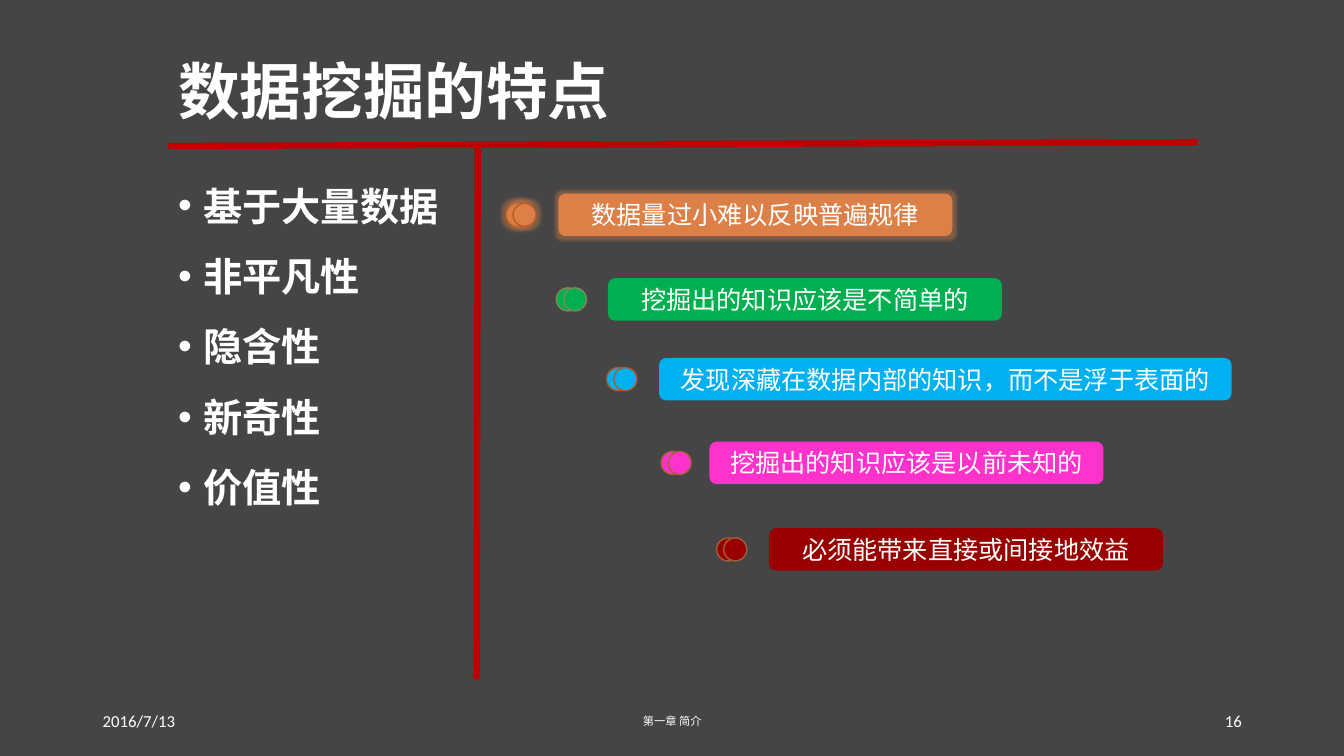
from dataclasses import dataclass

from lxml.etree import SubElement
from pptx import Presentation
from pptx.dml.color import RGBColor
from pptx.enum.shapes import MSO_CONNECTOR, MSO_SHAPE
from pptx.enum.text import MSO_ANCHOR, PP_ALIGN
from pptx.oxml.ns import qn
from pptx.util import Cm, Pt


@dataclass(frozen=True)
class Theme:
    background: str = "454545"
    text: str = "FFFFFF"
    rule: str = "C00000"
    glow: str = "DD8047"
    font: str = "Noto Sans CJK SC"
    footer_font: str = "Calibri"
    title_size: int = 44
    feature_size: int = 28
    label_size: int = 18
    footer_size: int = 12
    chapter_size: int = 8
    rule_width: float = 4.5


@dataclass(frozen=True)
class Label:
    text: str
    left: float
    top: float
    dots_left: float
    fill: str
    outline: str
    width: float = 9.93
    glows: bool = False


@dataclass(frozen=True)
class Footer:
    text: str
    left: float
    width: float
    alignment: PP_ALIGN
    size: int
    font: str


THEME = Theme()
LABEL_HEIGHT, DOT_SIZE, DOT_SHIFT = 1.07, 0.58, 0.18
FEATURES = ["基于大量数据", "非平凡性", "隐含性", "新奇性", "价值性"]
LABELS = [
    Label("数据量过小难以反映普遍规律", 14.07, 4.88, 12.75, "DD8047", "B95B22", glows=True),
    Label("挖掘出的知识应该是不简单的", 15.32, 7.01, 14.02, "00B050", "81875A"),
    Label("发现深藏在数据内部的知识，而不是浮于表面的", 16.61, 9.02, 15.29, "00B0F0", "A35F35", width=14.43),
    Label("挖掘出的知识应该是以前未知的", 17.88, 11.13, 16.66, "FF33CC", "A35F35"),
    Label("必须能带来直接或间接地效益", 19.38, 13.31, 18.06, "990000", "A35F35"),
]
FOOTERS = [
    Footer("2016/7/13", 2.34, 7.62, PP_ALIGN.LEFT, THEME.footer_size, THEME.footer_font),
    Footer("16", 23.93, 7.62, PP_ALIGN.RIGHT, THEME.footer_size, THEME.footer_font),
    Footer("第一章 简介", 11.23, 11.43, PP_ALIGN.CENTER, THEME.chapter_size, THEME.font),
]


def add_run(paragraph, text: str, size: int, bold: bool = False, font: str = THEME.font) -> None:
    run = paragraph.add_run()
    run.text = text
    run.font.size, run.font.bold, run.font.name = Pt(size), bold, font
    run.font.color.rgb = RGBColor.from_string(THEME.text)
    SubElement(run.font._element, qn("a:ea"), typeface=font)


def add_rule(slide, start: tuple[float, float], end: tuple[float, float]) -> None:
    rule = slide.shapes.add_connector(MSO_CONNECTOR.STRAIGHT, *map(Cm, start + end))
    rule.line.color.rgb = RGBColor.from_string(THEME.rule)
    rule.line.width = Pt(THEME.rule_width)
    SubElement(rule._element.spPr, qn("a:effectLst"))


def add_glow(shape) -> None:
    effects = shape._element.spPr.find(qn("a:effectLst"))
    glow = SubElement(effects, qn("a:glow"), rad=str(Pt(5)))
    color = SubElement(glow, qn("a:srgbClr"), val=THEME.glow)
    SubElement(color, qn("a:alpha"), val="40000")


def add_filled(group, kind: MSO_SHAPE, box: tuple[float, ...], label: Label):
    shape = group.shapes.add_shape(kind, *map(Cm, box))
    shape.shadow.inherit = False
    shape.fill.solid()
    shape.fill.fore_color.rgb = RGBColor.from_string(label.fill)
    if label.glows:
        add_glow(shape)
    return shape


def add_label(slide, label: Label) -> None:
    group = slide.shapes.add_group_shape()
    bar = add_filled(group, MSO_SHAPE.ROUNDED_RECTANGLE,
                     (label.left, label.top, label.width, LABEL_HEIGHT), label)
    bar.line.fill.background()
    bar.text_frame.vertical_anchor = MSO_ANCHOR.MIDDLE
    paragraph = bar.text_frame.paragraphs[0]
    paragraph.alignment = PP_ALIGN.CENTER
    add_run(paragraph, label.text, THEME.label_size)
    dot_top = label.top + (LABEL_HEIGHT - DOT_SIZE) / 2
    for shift in (0, DOT_SHIFT):
        dot = add_filled(group, MSO_SHAPE.OVAL,
                         (label.dots_left + shift, dot_top, DOT_SIZE, DOT_SIZE), label)
        dot.line.color.rgb = RGBColor.from_string(label.outline)
        dot.line.width = Pt(1)


def add_features(slide, features: list[str]) -> None:
    box = slide.shapes.add_textbox(Cm(4.24), Cm(4.22), Cm(7.24), Cm(12.88))
    box.text_frame.word_wrap = True
    for index, feature in enumerate(features):
        paragraph = box.text_frame.paragraphs[0] if index == 0 else box.text_frame.add_paragraph()
        paragraph.line_spacing = 1.2
        paragraph.space_before = Pt(10)
        properties = paragraph._p.get_or_add_pPr()
        properties.set("marL", str(Cm(0.64)))
        properties.set("indent", str(-Cm(0.64)))
        SubElement(properties, qn("a:buFont"), typeface="Arial")
        SubElement(properties, qn("a:buChar"), char="•")
        add_run(paragraph, feature, THEME.feature_size, bold=True)


def add_footer(slide, footer: Footer) -> None:
    box = slide.shapes.add_textbox(Cm(footer.left), Cm(17.65), Cm(footer.width), Cm(1.02))
    box.text_frame.word_wrap = True
    box.text_frame.vertical_anchor = MSO_ANCHOR.MIDDLE
    paragraph = box.text_frame.paragraphs[0]
    paragraph.alignment = footer.alignment
    add_run(paragraph, footer.text, footer.size, font=footer.font)


def set_title(slide, text: str) -> None:
    title = slide.shapes.title
    title.left, title.top, title.width, title.height = Cm(4.24), Cm(0.53), Cm(25.93), Cm(3.68)
    title.text_frame.vertical_anchor = MSO_ANCHOR.MIDDLE
    paragraph = title.text_frame.paragraphs[0]
    paragraph.alignment = PP_ALIGN.LEFT
    paragraph.line_spacing = 0.9
    add_run(paragraph, text, THEME.title_size, bold=True)


# Slide and background
presentation = Presentation()
presentation.slide_width, presentation.slide_height = Cm(33.87), Cm(19.05)
slide = presentation.slides.add_slide(presentation.slide_layouts[5])
slide.background.fill.solid()
slide.background.fill.fore_color.rgb = RGBColor.from_string(THEME.background)

# Dividing rules
add_rule(slide, (4.24, 3.68), (30.18, 3.58))
add_rule(slide, (12.04, 3.68), (12.01, 17.12))

# Title, features and their explanations
set_title(slide, "数据挖掘的特点")
add_features(slide, FEATURES)
for label in LABELS:
    add_label(slide, label)

# Footer
for footer in FOOTERS:
    add_footer(slide, footer)

presentation.save("out.pptx")
